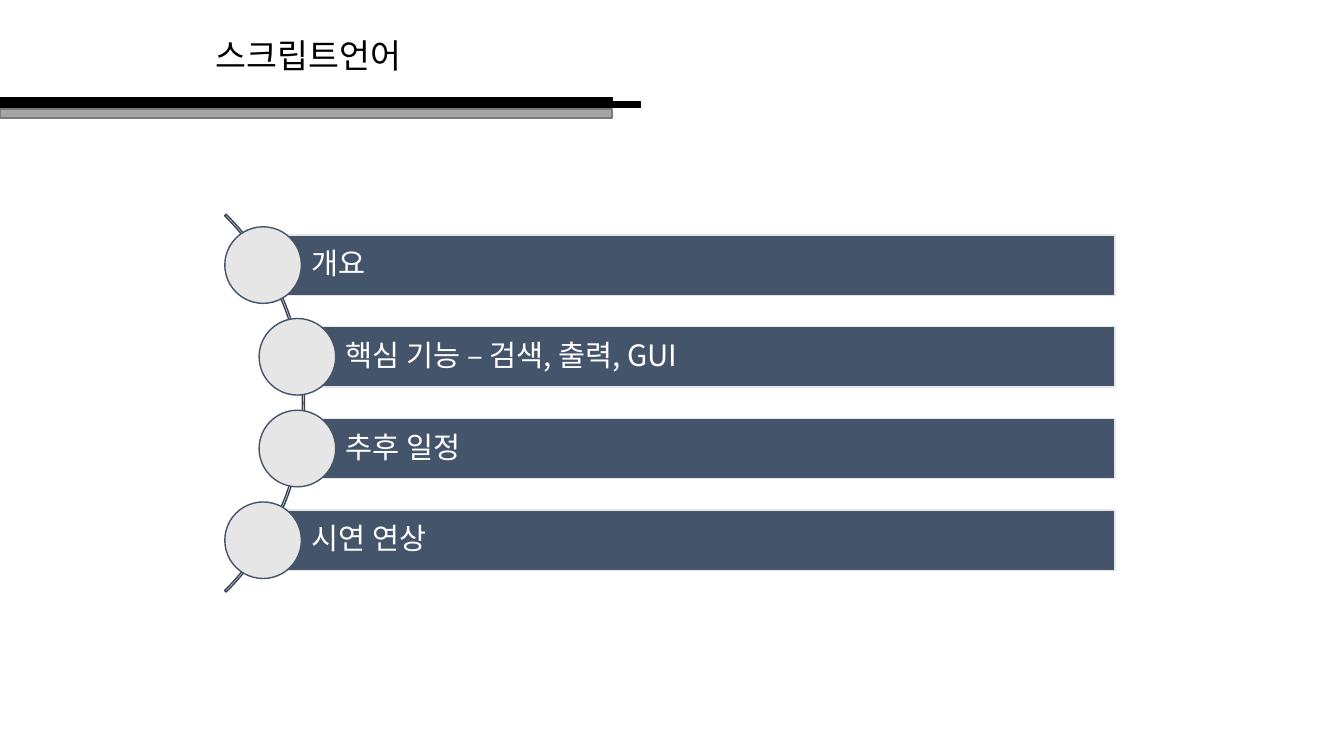
import pptx
import pptx.dml.color
import pptx.enum.shapes
import pptx.enum.text
import pptx.oxml
import pptx.oxml.ns
import pptx.util

Inches = pptx.util.Inches
Color = pptx.dml.color.RGBColor
Kind = pptx.enum.shapes.MSO_SHAPE

BLACK = Color(0x00, 0x00, 0x00)
WHITE = Color(0xFF, 0xFF, 0xFF)
GRAY = Color(0xA5, 0xA5, 0xA5)
GRAY_EDGE = Color(0x7A, 0x7A, 0x7A)
SLATE = Color(0x44, 0x54, 0x6A)
SLATE_EDGE = Color(0x36, 0x43, 0x55)
PALE = Color(0xE7, 0xE6, 0xE6)

FONT = "Noto Sans CJK KR"

# Agenda entries: left edge of the bar, wording
AGENDA = [
    (2.61, "개요"),
    (2.95, "핵심 기능 – 검색, 출력, GUI"),
    (2.95, "추후 일정"),
    (2.61, "시연 연상"),
]
BAR_TOP, BAR_STEP, BAR_HEIGHT, BAR_RIGHT = 2.33, 0.91, 0.6, 11.06
DOT_SIZE = 0.76


def add_block(page, kind, left, top, width, height, fill, line):
    block = page.shapes.add_shape(
        kind, Inches(left), Inches(top), Inches(width), Inches(height))
    block.shadow.inherit = False
    if fill is None:
        block.fill.background()
    else:
        block.fill.solid()
        block.fill.fore_color.rgb = fill
    block.line.color.rgb = line
    block.line.width = pptx.util.Pt(1)
    return block


def write_text(para, wording, size, color):
    para.alignment = pptx.enum.text.PP_ALIGN.LEFT
    span = para.add_run()
    span.text = wording
    span.font.size = pptx.util.Pt(size)
    span.font.name = FONT
    span.font.color.rgb = color
    # Korean glyphs take the East Asian typeface
    east_asian = pptx.oxml.ns.qn("a:ea")
    span.font._element.makeelement(east_asian)
    latin = span.font._element.find(pptx.oxml.ns.qn("a:latin"))
    latin.addnext(latin.makeelement(east_asian, {"typeface": FONT}))


def add_title(page, wording):
    box = page.shapes.add_textbox(
        Inches(2.04), Inches(0.3), Inches(3.2), Inches(0.5))
    box.text_frame.word_wrap = True
    box.text_frame.auto_size = pptx.enum.text.MSO_AUTO_SIZE.SHAPE_TO_FIT_TEXT
    write_text(box.text_frame.paragraphs[0], wording, 24, BLACK)


def add_agenda_entry(page, left, top, wording):
    bar = add_block(page, Kind.RECTANGLE, left, top,
                    BAR_RIGHT - left, BAR_HEIGHT, SLATE, PALE)
    frame = bar.text_frame
    frame.word_wrap = True
    frame.vertical_anchor = pptx.enum.text.MSO_ANCHOR.MIDDLE
    frame.margin_left = Inches(0.48)
    frame.margin_right = frame.margin_top = frame.margin_bottom = Inches(0.06)
    para = frame.paragraphs[0]
    para.line_spacing = 0.9
    write_text(para, wording, 21, WHITE)

    # Dot centred on the left end of the bar
    add_block(page, Kind.OVAL, left - DOT_SIZE / 2,
              top + (BAR_HEIGHT - DOT_SIZE) / 2,
              DOT_SIZE, DOT_SIZE, PALE, SLATE)


def main():
    deck = pptx.Presentation()
    deck.slide_width = Inches(13.33)
    deck.slide_height = Inches(7.5)
    page = deck.slides.add_slide(deck.slide_layouts[6])

    # Header rules and title
    add_block(page, Kind.RECTANGLE, 0, 0.97, 6.07, 0.09, BLACK, BLACK)
    add_block(page, Kind.RECTANGLE, 0.17, 1.01, 6.18, 0.06, BLACK, BLACK)
    add_block(page, Kind.RECTANGLE, 0, 1.08, 6.07, 0.09, GRAY, GRAY_EDGE)
    add_title(page, "스크립트언어")

    # Arc behind the dots: from 315 to 45 degrees, very thin
    arc = add_block(page, Kind.BLOCK_ARC, -2.28, 1.35, 5.3, 5.3,
                    None, SLATE_EDGE)
    for index, value in enumerate((189, 27, 0.004)):
        arc.adjustments[index] = value

    # Agenda
    for index, (left, wording) in enumerate(AGENDA):
        add_agenda_entry(page, left, BAR_TOP + index * BAR_STEP, wording)

    deck.save("out.pptx")


if __name__ == "__main__":
    main()
